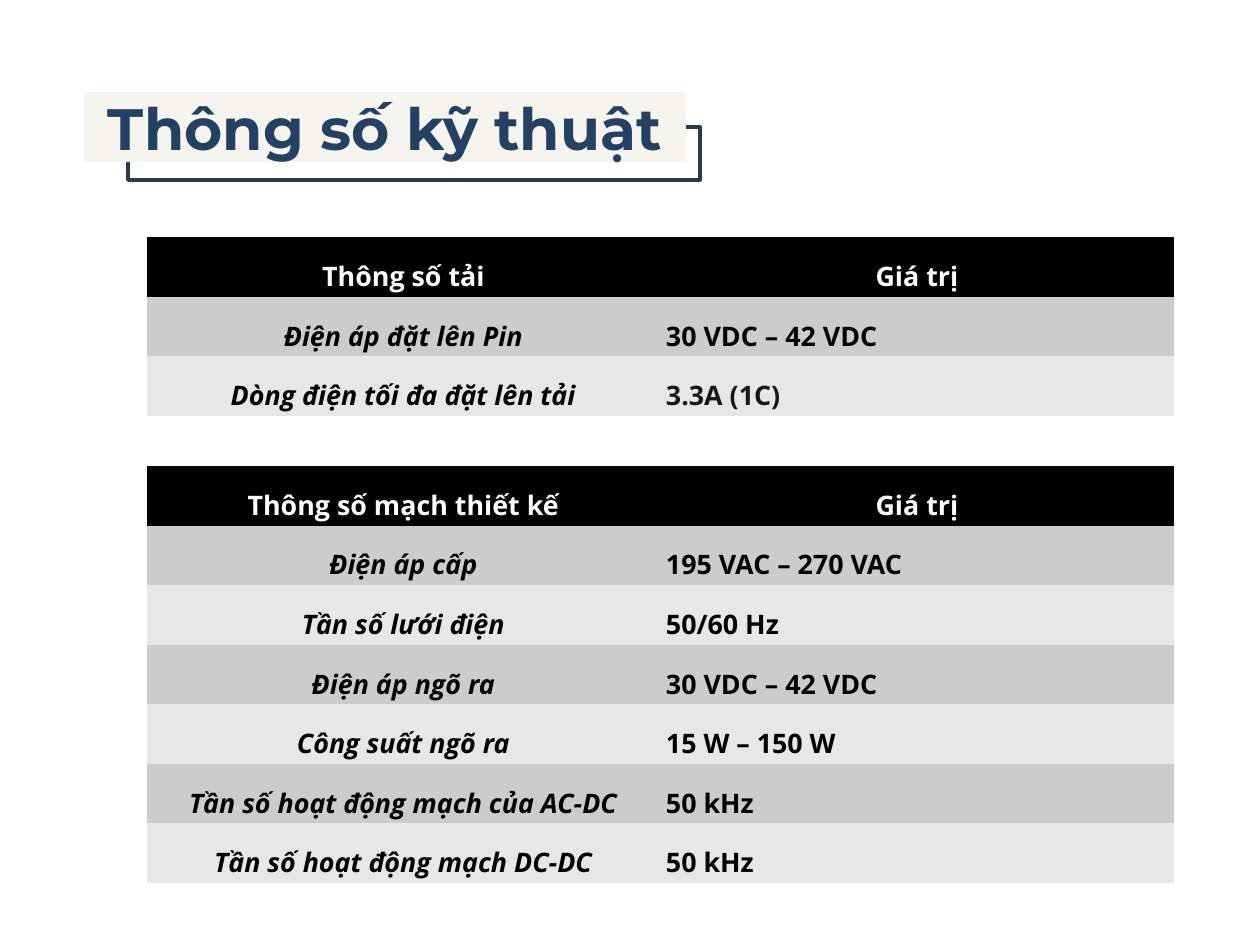
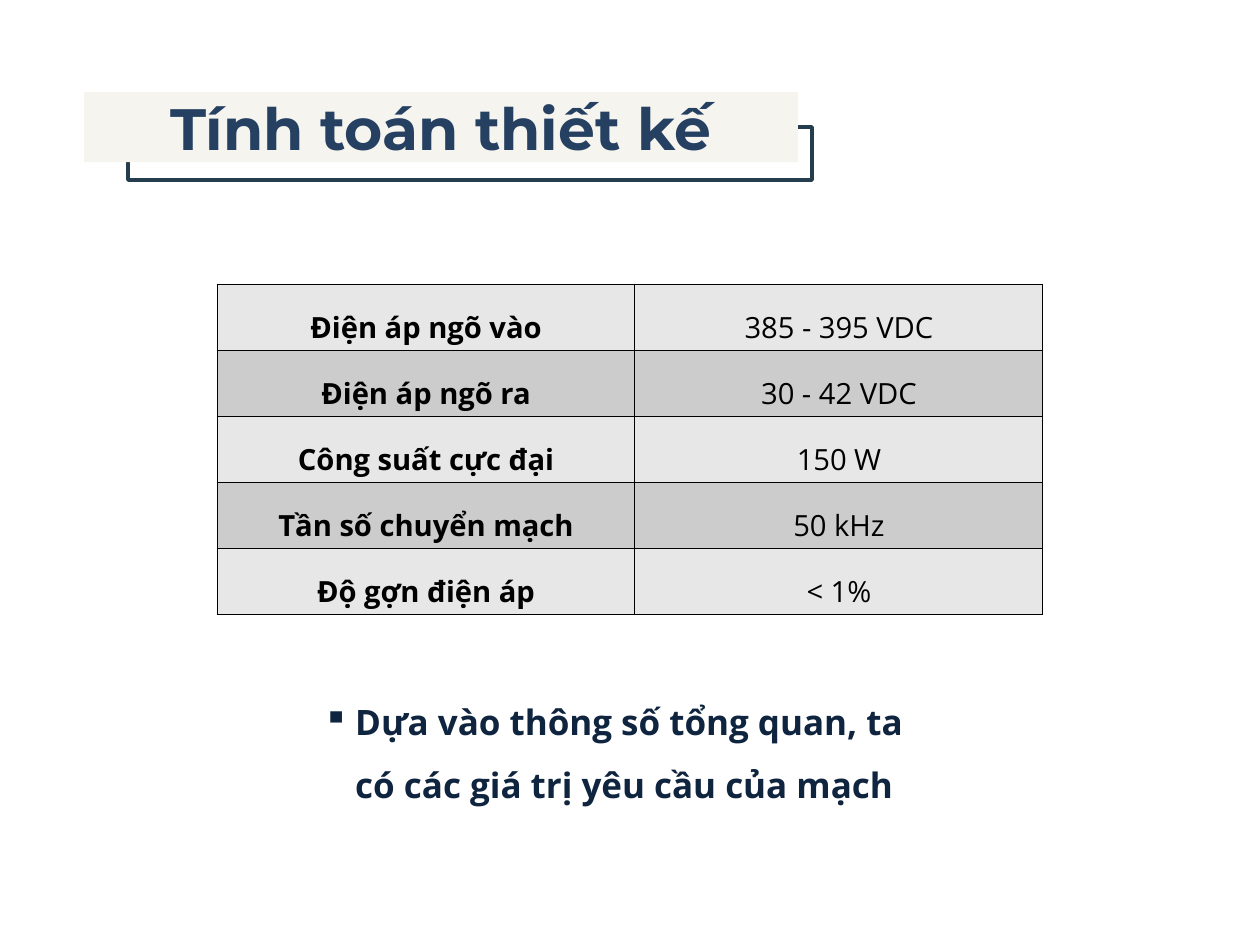
"""Build two slides of charger specifications and design values."""
from lxml.etree import SubElement
from pptx import Presentation
from pptx.dml.color import RGBColor
from pptx.enum.shapes import MSO_SHAPE
from pptx.enum.text import MSO_ANCHOR, MSO_AUTO_SIZE, PP_ALIGN
from pptx.oxml.ns import qn
from pptx.util import Emu, Inches, Pt

NAVY = RGBColor(0x25, 0x40, 0x61)
INK = RGBColor(0x0F, 0x24, 0x3E)
FRAME = RGBColor(0x24, 0x3E, 0x4D)
CREAM = RGBColor(0xF6, 0xF4, 0xEF)
BLACK = RGBColor(0x00, 0x00, 0x00)
CHARCOAL = RGBColor(0x17, 0x17, 0x17)
WHITE = RGBColor(0xFF, 0xFF, 0xFF)
BAND_DARK = RGBColor(0xCC, 0xCC, 0xCC)
BAND_LIGHT = RGBColor(0xE7, 0xE7, 0xE7)
TITLE_FONT = "Montserrat"
BODY_FONT = "Open Sans"
PLAIN_TABLE = "{2D5ABB26-0587-4C30-8999-92F81FD0307C}"
PX_PER_INCH = 84


def px(n):
    return Emu(round(n * Inches(1) / PX_PER_INCH))


class Deck:
    def __init__(self):
        self.prs = Presentation()
        self.prs.slide_width, self.prs.slide_height = px(1260), px(945)
        self.s = None

    def format(self, p, font, size, color, bold=True, italic=False):
        for r in p.runs:
            f = r.font
            f.name, f.size, f.bold, f.italic = font, Pt(size), bold, italic
            f.color.rgb = color

    def slide(self, title, width):
        self.s = self.prs.slides.add_slide(self.prs.slide_layouts[5])
        sp = self.s.shapes.title
        sp.left, sp.top, sp.width, sp.height = px(84), px(92), px(width), px(70)
        sp.fill.solid()
        sp.fill.fore_color.rgb = CREAM
        tf = sp.text_frame
        tf.text = title
        tf.margin_left = tf.margin_right = tf.margin_top = tf.margin_bottom = 0
        tf.auto_size = MSO_AUTO_SIZE.SHAPE_TO_FIT_TEXT
        tf.vertical_anchor = MSO_ANCHOR.TOP
        p = tf.paragraphs[0]
        p.alignment = PP_ALIGN.CENTER
        self.format(p, TITLE_FONT, 50, NAVY)
        sp.element.addprevious(self.frame(128, 127, width - 30, 53).element)

    def frame(self, x, y, w, h):
        sp = self.s.shapes.add_shape(MSO_SHAPE.RECTANGLE, px(x), px(y), px(w), px(h))
        sp.shadow.inherit = False
        sp.fill.background()
        sp.line.color.rgb = FRAME
        sp.line.width = Pt(3)
        return sp

    def table(self, x, y, cols, h, rows, size, header=True):
        gf = self.s.shapes.add_table(len(rows), len(cols), px(x), px(y), px(sum(cols)), px(h))
        next(gf.element.iter(qn("a:tableStyleId"))).text = PLAIN_TABLE
        table = gf.table
        table.first_row = header
        for col, w in zip(table.columns, cols):
            col.width = px(w)
        for i, row in enumerate(rows):
            for j, text in enumerate(row):
                cell = table.cell(i, j)
                head, label = header and i == 0, j == 0
                if not header:
                    self.borders(cell)
                cell.fill.solid()
                band = BAND_DARK if i % 2 else BAND_LIGHT
                cell.fill.fore_color.rgb = BLACK if head else band
                cell.vertical_anchor = MSO_ANCHOR.MIDDLE
                cell.margin_left = cell.margin_right = px(6)
                cell.margin_top = cell.margin_bottom = 0
                cell.text_frame.text = text
                p = cell.text_frame.paragraphs[0]
                centred = head or label or not header
                p.alignment = PP_ALIGN.CENTER if centred else PP_ALIGN.LEFT
                p.line_spacing = 1.5
                self.format(p, BODY_FONT, size, WHITE if head else BLACK,
                            bold=header or label, italic=header and label and not head)
        return table

    def borders(self, cell):
        tc_pr = cell._tc.get_or_add_tcPr()
        for side in ("a:lnL", "a:lnR", "a:lnT", "a:lnB"):
            ln = SubElement(tc_pr, qn(side), w=str(Pt(1)))
            fill = SubElement(ln, qn("a:solidFill"))
            SubElement(fill, qn("a:srgbClr"), val=str(BLACK))

    def bullet(self, x, y, w, h, text):
        tf = self.s.shapes.add_textbox(px(x), px(y), px(w), px(h)).text_frame
        tf.word_wrap = True
        tf.auto_size = MSO_AUTO_SIZE.SHAPE_TO_FIT_TEXT
        tf.text = text
        p = tf.paragraphs[0]
        p.line_spacing = 1.5
        p_pr = p._p.get_or_add_pPr()
        p_pr.set("marL", str(px(32)))
        p_pr.set("indent", str(-px(32)))
        SubElement(p_pr, qn("a:buChar"), char="▪")
        self.format(p, BODY_FONT, 30, INK)


def main():
    deck = Deck()

    deck.slide("Thông số kỹ thuật", 602)
    spec_cols = (513, 514)
    deck.table(147, 466, spec_cols, 417, [
        ("Thông số mạch thiết kế", "Giá trị"),
        ("Điện áp cấp", "195 VAC – 270 VAC"),
        ("Tần số lưới điện", "50/60 Hz"),
        ("Điện áp ngõ ra", "30 VDC – 42 VDC"),
        ("Công suất ngõ ra", "15 W – 150 W"),
        ("Tần số hoạt động mạch của AC-DC", "50 kHz"),
        ("Tần số hoạt động mạch DC-DC", "50 kHz"),
    ], 23)
    load = deck.table(147, 237, spec_cols, 179, [
        ("Thông số tải", "Giá trị"),
        ("Điện áp đặt lên Pin", "30 VDC – 42 VDC"),
        ("Dòng điện tối đa đặt lên tải", "3.3A (1C)"),
    ], 23)
    deck.format(load.cell(2, 1).text_frame.paragraphs[0], BODY_FONT, 23, CHARCOAL)

    deck.slide("Tính toán thiết kế", 714)
    deck.table(217, 284, (418, 408), 331, [
        ("Điện áp ngõ vào", "385 - 395 VDC"),
        ("Điện áp ngõ ra", "30 - 42 VDC"),
        ("Công suất cực đại", "150 W"),
        ("Tần số chuyển mạch", "50 kHz"),
        ("Độ gợn điện áp", "< 1%"),
    ], 25, header=False)
    deck.bullet(315, 675, 630, 129,
                "Dựa vào thông số tổng quan, ta có các giá trị yêu cầu của mạch")

    deck.prs.save("out.pptx")


if __name__ == "__main__":
    main()
